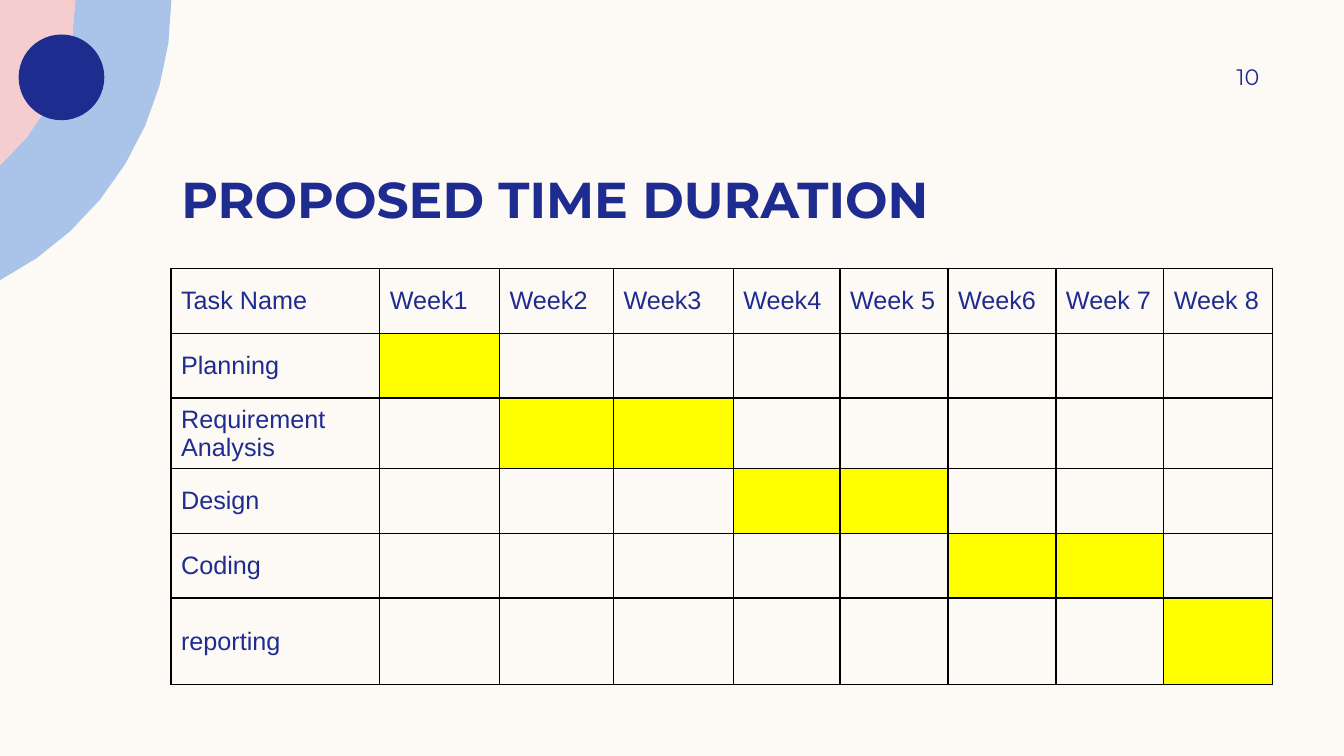
from dataclasses import dataclass
from math import acos, cos, sin

from lxml.etree import SubElement
from pptx import Presentation
from pptx.dml.color import RGBColor
from pptx.enum.shapes import MSO_SHAPE
from pptx.enum.text import MSO_ANCHOR, PP_ALIGN
from pptx.oxml import parse_xml
from pptx.oxml.ns import nsdecls, qn
from pptx.util import Cm, Pt


@dataclass(frozen=True)
class Theme:
    paper: str = "FDFAF6"
    navy: str = "1F2C8F"
    blue: str = "AAC3E8"
    pink: str = "F5CDCE"
    mark: str = "FFFF00"
    grid: str = "000000"
    head: str = "Montserrat"
    body: str = "Arial"
    title: int = 36
    cell: int = 18
    number: int = 16


THEME = Theme()
WEEKS = ["Week1", "Week2", "Week3", "Week4", "Week 5", "Week6", "Week 7", "Week 8"]
# Task, first week, last week
TASKS = [
    ("Planning", 1, 1),
    ("Requirement Analysis", 2, 3),
    ("Design", 4, 5),
    ("Coding", 6, 7),
    ("reporting", 8, 8),
]
COLS = [5.26, 3.02, 2.87, 3.02, 2.69, 2.72, 2.72, 2.72, 2.74]
ROWS = [1.63, 1.63, 1.73, 1.63, 1.63, 2.18]


def paint(shape, color):
    shape.fill.solid()
    shape.fill.fore_color.rgb = RGBColor.from_string(color)
    shape.line.fill.background()
    shape.shadow.inherit = False


def style(para, face, size, bold=False):
    font = para.font
    font.name, font.size, font.bold = face, Pt(size), bold
    font.color.rgb = RGBColor.from_string(THEME.navy)


def arc(mid, radius, steps):
    """Points from the top edge to the left edge, on a circle centred at (mid, 0)."""
    end = acos(-mid / radius)
    turns = [end * i / steps for i in range(steps + 1)]
    return [(mid + radius * cos(t), radius * sin(t)) for t in turns]


def outline(slide, box, points, color):
    left, top = box
    spots = [(Cm(left + x), Cm(top + y)) for x, y in points]
    form = slide.shapes.build_freeform(*spots[0], scale=1.0)
    form.add_line_segments(spots[1:], close=True)
    paint(form.convert_to_shape(), color)


def add_corner(slide, box):
    left, top = box
    mid = -3.61
    outer, inner = arc(mid, 7.93, 8), arc(mid, 5.51, 5)
    # Ring and inner disc
    outline(slide, box, outer + inner[::-1], THEME.blue)
    outline(slide, box, [(0, 0)] + inner, THEME.pink)
    # Dot
    dot = slide.shapes.add_shape(
        MSO_SHAPE.OVAL, Cm(left + 0.47), Cm(top + 0.87), Cm(2.16), Cm(2.16))
    paint(dot, THEME.navy)


def add_label(slide, box, text, size, anchor, inset, bold=False, align=PP_ALIGN.LEFT):
    frame = slide.shapes.add_textbox(*map(Cm, box)).text_frame
    frame.word_wrap = True
    frame.vertical_anchor = anchor
    frame.margin_left, frame.margin_top, frame.margin_right, frame.margin_bottom = map(Cm, inset)
    para = frame.paragraphs[0]
    para.text, para.alignment = text, align
    style(para, THEME.head, size, bold)


def add_border(cell):
    props = cell._tc.get_or_add_tcPr()
    for i, side in enumerate(("lnL", "lnR", "lnT", "lnB")):
        line = parse_xml(f'<a:{side} {nsdecls("a")} w="{Pt(1)}"/>')
        fill = SubElement(line, qn("a:solidFill"))
        SubElement(fill, qn("a:srgbClr"), val=THEME.grid)
        props.insert(i, line)


def add_plan(slide, box):
    frame = slide.shapes.add_table(len(ROWS), len(COLS), *map(Cm, box))
    table = frame.table
    table.first_row = table.horz_banding = False
    for col, width in zip(table.columns, COLS):
        col.width = Cm(width)
    for row, height in zip(table.rows, ROWS):
        row.height = Cm(height)
    # Header and task names
    for c, text in enumerate(["Task Name"] + WEEKS):
        table.cell(0, c).text = text
    for r, (name, first, last) in enumerate(TASKS, 1):
        table.cell(r, 0).text = name
    # Fills, type and grid lines
    spans = [(0, -1)] + [(first, last) for name, first, last in TASKS]
    for r, (first, last) in enumerate(spans):
        for c in range(len(COLS)):
            cell = table.cell(r, c)
            cell.vertical_anchor = MSO_ANCHOR.MIDDLE
            style(cell.text_frame.paragraphs[0], THEME.body, THEME.cell)
            if first <= c <= last:
                cell.fill.solid()
                cell.fill.fore_color.rgb = RGBColor.from_string(THEME.mark)
            else:
                cell.fill.background()
            add_border(cell)


def main():
    deck = Presentation()
    deck.slide_width, deck.slide_height = Cm(33.87), Cm(19.05)
    slide = deck.slides.add_slide(deck.slide_layouts[6])
    back = slide.background.fill
    back.solid()
    back.fore_color.rgb = RGBColor.from_string(THEME.paper)

    add_corner(slide, (0, 0))
    add_label(slide, (4.32, 3.04, 27.43, 2.72), "PROPOSED TIME DURATION",
              THEME.title, MSO_ANCHOR.BOTTOM, (0.25, 0, 0.25, 0), bold=True)
    add_plan(slide, (4.31, 6.77, sum(COLS), sum(ROWS)))
    add_label(slide, (28.77, 1.27, 2.97, 1.32), "10",
              THEME.number, MSO_ANCHOR.MIDDLE, (0.25, 0.13, 0, 0.13), align=PP_ALIGN.RIGHT)
    deck.save("out.pptx")


if __name__ == "__main__":
    main()
